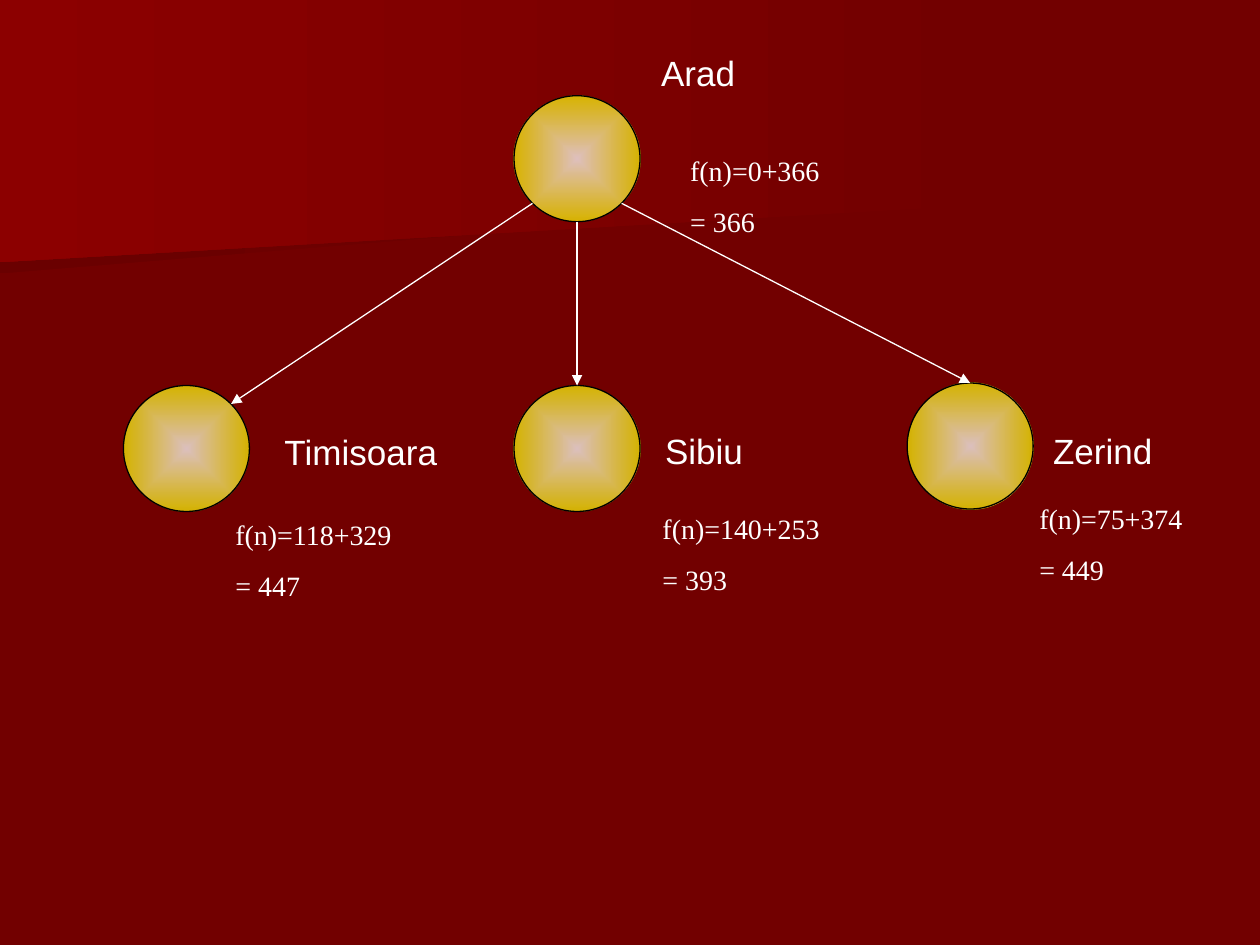
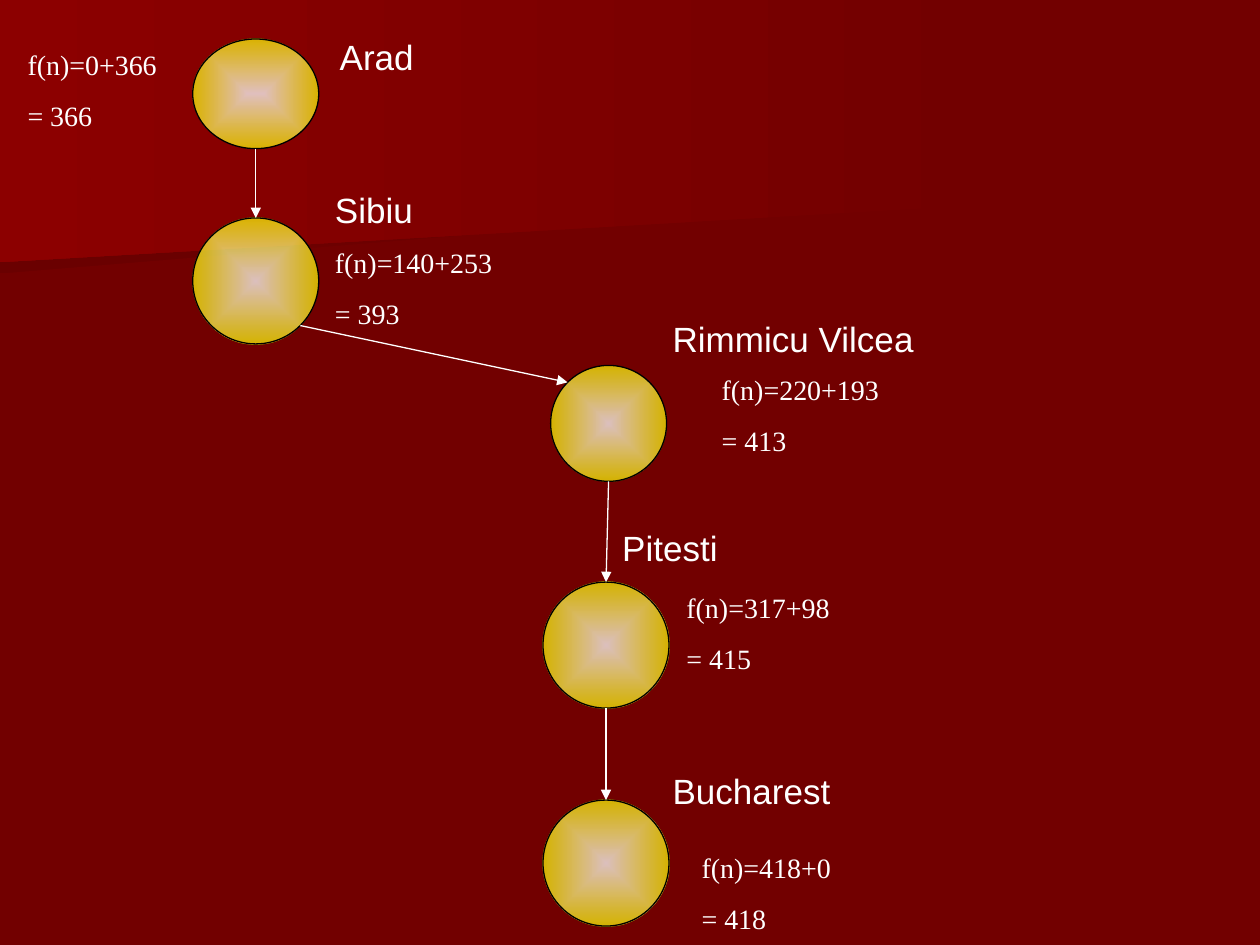
from dataclasses import dataclass

from lxml.etree import SubElement
from pptx import Presentation
from pptx.dml.color import RGBColor
from pptx.enum.shapes import MSO_CONNECTOR, MSO_SHAPE
from pptx.enum.text import MSO_AUTO_SIZE, PP_ALIGN
from pptx.oxml import parse_xml
from pptx.oxml.ns import nsdecls, qn
from pptx.util import Inches, Pt

MAROON, SHADE, GLOW = "720000", "6A0000", "8C0000"
WHITE, YELLOW, BLACK = "FFFFFF", "FFFF00", "000000"

LINEAR = '<a:lin ang="10800000" scaled="0"/>'
FROM_CENTRE = (
    '<a:path path="rect"><a:fillToRect l="50000" t="50000" r="50000" b="50000"/></a:path>'
)

SITES = {
    "top": (0.5, 0),
    "top left": (0.146, 0.146),
    "top right": (0.854, 0.146),
    "bottom": (0.5, 1),
    "bottom left": (0.146, 0.854),
    "bottom right": (0.854, 0.854),
}


@dataclass
class City:
    name: str
    box: tuple
    label_offset: tuple
    label_width: float
    travelled: int
    remaining: int
    cost_offset: tuple
    cost_width: float = 1.67
    label_align: PP_ALIGN = PP_ALIGN.LEFT


def colour(hex_code):
    return RGBColor.from_string(hex_code)


def fill_gradient(shape, stops, direction):
    stop_xml = "".join(
        f'<a:gs pos="{position * 1000}"><a:srgbClr val="{hex_code}">'
        f'<a:alpha val="{opacity * 1000}"/></a:srgbClr></a:gs>'
        for position, hex_code, opacity in stops
    )
    gradient = parse_xml(
        f'<a:gradFill {nsdecls("a")} rotWithShape="1">'
        f"<a:gsLst>{stop_xml}</a:gsLst>{direction}</a:gradFill>"
    )
    properties = shape._element.spPr
    geometry = properties.find(qn("a:custGeom"))
    if geometry is None:
        geometry = properties.find(qn("a:prstGeom"))
    geometry.addnext(gradient)


def add_band(slide, master, outline, left_colour, order):
    start, *corners = [(Inches(x), Inches(y)) for x, y in outline]
    builder = slide.shapes.build_freeform(*start)
    builder.add_line_segments(corners, close=True)
    band = builder.convert_to_shape()
    band.shadow.inherit = False
    band.line.fill.background()
    fill_gradient(band, [(0, MAROON, 100), (100, left_colour, 100)], LINEAR)
    band._element.nvSpPr.cNvPr.set("id", str(100 + order))
    master.shapes._spTree.insert(2 + order, band._element)


def decorate_master(master, slide):
    background = master.background.fill
    background.solid()
    background.fore_color.rgb = colour(MAROON)
    shade = [(7.78, 1.53), (0, 2.17), (0, 1.01), (7.79, 1.01), (7.78, 1.28)]
    glow = [(7.92, 1.62), (0, 2.08), (0, 0), (7.92, 0)]
    add_band(slide, master, shade, SHADE, 0)
    add_band(slide, master, glow, GLOW, 1)


def add_text(slide, box, lines, font_name, size, space_before, align=PP_ALIGN.LEFT):
    frame = slide.shapes.add_textbox(*map(Inches, box)).text_frame
    frame.word_wrap = True
    frame.auto_size = MSO_AUTO_SIZE.SHAPE_TO_FIT_TEXT
    frame.text = "\n".join(lines)
    for paragraph in frame.paragraphs:
        paragraph.alignment = align
        paragraph.space_before = Pt(space_before)
        paragraph.font.name = font_name
        paragraph.font.size = Pt(size)
        paragraph.font.color.rgb = colour(WHITE)


def add_city(slide, city):
    left, top, _, _ = city.box
    circle = slide.shapes.add_shape(MSO_SHAPE.OVAL, *map(Inches, city.box))
    circle.shadow.inherit = False
    fill_gradient(circle, [(0, WHITE, 75), (100, YELLOW, 70)], FROM_CENTRE)
    circle.line.color.rgb = colour(BLACK)
    circle.line.width = Pt(0.75)

    dx, dy = city.label_offset
    label_box = (left + dx, top + dy, city.label_width, 0.44)
    add_text(slide, label_box, [city.name], "Arial", 20, 12.5, city.label_align)

    dx, dy = city.cost_offset
    cost_box = (left + dx, top + dy, city.cost_width, 0.77)
    cost_lines = [
        f"f(n)={city.travelled}+{city.remaining}",
        f"= {city.travelled + city.remaining}",
    ]
    add_text(slide, cost_box, cost_lines, "Times New Roman", 16, 10)
    return circle


def site_point(circle, site):
    across, down = SITES[site]
    return (
        int(circle.left + circle.width * across),
        int(circle.top + circle.height * down),
    )


def add_road(slide, origin, origin_site, target, target_site):
    road = slide.shapes.add_connector(
        MSO_CONNECTOR.STRAIGHT,
        *site_point(origin, origin_site),
        *site_point(target, target_site),
    )
    if target_site == "top":
        road.end_connect(target, 0)
    road.line.color.rgb = colour(WHITE)
    road.line.width = Pt(0.75)
    SubElement(road.line._get_or_add_ln(), qn("a:tailEnd"), type="triangle")
    SubElement(road._element.spPr, qn("a:effectLst"))


def build_search_slide(slide, cities, roads):
    circles = {city.name: add_city(slide, city) for city in cities}
    for origin, origin_site, target, target_site in roads:
        add_road(slide, circles[origin], origin_site, circles[target], target_site)


EXPANSION_CITIES = [
    City("Arad", (4.08, 0.76, 1, 1), (1, -0.4), 0.92, 0, 366, (1.3, 0.41),
         label_align=PP_ALIGN.CENTER),
    City("Sibiu", (4.08, 3.06, 1, 1), (1.1, 0.3), 0.83, 140, 253, (1.08, 0.95)),
    City("Timisoara", (0.98, 3.06, 1, 1), (1.18, 0.31), 1.5, 118, 329, (0.79, 1)),
    City("Zerind", (7.2, 3.04, 1, 1), (1.06, 0.32), 1, 75, 374, (0.95, 0.89)),
]
EXPANSION_ROADS = [
    ("Arad", "bottom left", "Timisoara", "top right"),
    ("Arad", "bottom", "Sibiu", "top"),
    ("Arad", "bottom right", "Zerind", "top"),
]

ROUTE_CITIES = [
    City("Arad", (1.53, 0.31, 1, 0.87), (1, -0.08), 0.92, 0, 366, (-1.41, 0.02), 1.35,
         PP_ALIGN.CENTER),
    City("Sibiu", (1.53, 1.73, 1, 1), (1.03, -0.28), 0.83, 140, 253, (1.03, 0.17), 1.51),
    City("Rimmicu Vilcea", (4.37, 2.9, 0.92, 0.92), (0.87, -0.43), 2.28, 220, 193,
         (1.26, 0.01), 1.54),
    City("Pitesti", (4.31, 4.62, 1, 1), (0.53, -0.49), 1.1, 317, 98, (1.04, 0.02), 1.54),
    City("Bucharest", (4.31, 6.35, 1, 1), (0.93, -0.29), 1.5, 418, 0, (1.16, 0.35)),
]
ROUTE_ROADS = [
    ("Arad", "bottom", "Sibiu", "top"),
    ("Sibiu", "bottom right", "Rimmicu Vilcea", "top left"),
    ("Rimmicu Vilcea", "bottom", "Pitesti", "top"),
    ("Pitesti", "bottom", "Bucharest", "top"),
]


def main():
    deck = Presentation()
    deck.slide_width, deck.slide_height = Inches(10), Inches(7.5)
    blank_layout = deck.slide_layouts[6]
    expansion = deck.slides.add_slide(blank_layout)
    route = deck.slides.add_slide(blank_layout)
    decorate_master(deck.slide_master, expansion)
    build_search_slide(expansion, EXPANSION_CITIES, EXPANSION_ROADS)
    build_search_slide(route, ROUTE_CITIES, ROUTE_ROADS)
    deck.save("out.pptx")


if __name__ == "__main__":
    main()
